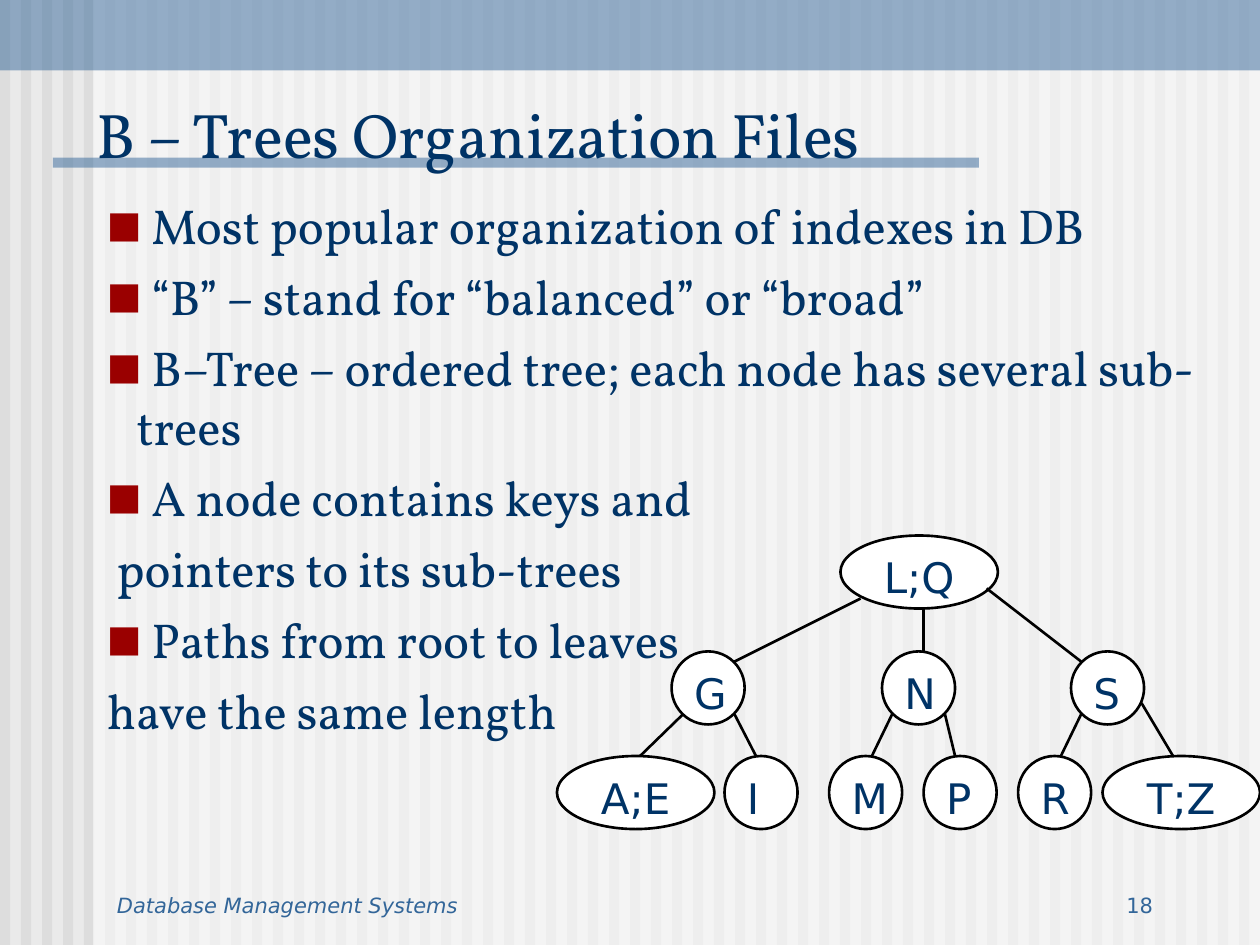
from lxml.etree import SubElement
from pptx import Presentation
from pptx.dml.color import RGBColor
from pptx.enum.shapes import MSO_CONNECTOR, MSO_SHAPE
from pptx.enum.text import MSO_ANCHOR, PP_ALIGN
from pptx.oxml.ns import qn
from pptx.util import Inches, Pt

NAVY = RGBColor(0x00, 0x33, 0x66)
BLUE = RGBColor(0x33, 0x66, 0x99)
RED = RGBColor(0x9A, 0x00, 0x00)
STRIPE = RGBColor(0xDD, 0xDD, 0xDD)
BACKGROUND = RGBColor(0xEA, 0xEA, 0xEA)
WHITE = RGBColor(0xFF, 0xFF, 0xFF)
BLACK = RGBColor(0x00, 0x00, 0x00)

SERIF = "Vollkorn"
SANS = "DejaVu Sans"
TITLE = {"name": SERIF, "size": Pt(36)}
BODY = {"name": SERIF, "size": Pt(28)}
LABEL = {"name": SANS, "size": Pt(24)}
FOOTER = {"name": SANS, "size": Pt(12)}

BULLET_INDENT = 0.235
NODE_HEIGHT = 0.58
WIDE_NODE = 1.25
STRIPE_COUNT = 60

POINTS = [
    (" Most popular organization of indexes in DB", True),
    (" “B” – stand for “balanced” or “broad”", True),
    (" B–Tree – ordered tree; each node has several sub-trees", True),
    (" A node contains keys and", True),
    (" pointers to its sub-trees", False),
    (" Paths from root to leaves", True),
    ("have the same length", False),
]

TREE_LEVELS = [
    (4.25, [("L;Q", 6.67)]),
    (5.17, [("G", 5.33), ("N", 7), ("S", 8.5)]),
    (6, [("I", 5.75), ("A;E", 4.42), ("M", 6.58), ("P", 7.33),
         ("R", 8.08), ("T;Z", 8.75)]),
]

BRANCHES = [
    ((5.83, 5.25), (6.83, 4.75)),
    ((7.33, 4.83), (7.33, 5.17)),
    ((7.83, 4.67), (8.58, 5.25)),
    ((5.42, 5.67), (5.08, 6)),
    ((5.83, 5.67), (6, 6)),
    ((7.08, 5.67), (6.92, 6)),
    ((7.5, 5.67), (7.58, 6)),
    ((8.42, 6), (8.58, 5.67)),
    ((9.06, 5.58), (9.31, 6)),
]


class SlideBuilder:
    line_width = Pt(1.5)
    paragraph_gap = Pt(7)

    def __init__(self, slide):
        self.slide = slide
        slide.background.fill.solid()
        slide.background.fill.fore_color.rgb = BACKGROUND

    def shape(self, kind, left, top, width, height, color):
        shape = self.slide.shapes.add_shape(
            kind, Inches(left), Inches(top), Inches(width), Inches(height))
        shape.shadow.inherit = False
        shape.fill.solid()
        shape.fill.fore_color.rgb = color
        return shape

    def band(self, left, top, width, height, color, opacity=100):
        shape = self.shape(MSO_SHAPE.RECTANGLE, left, top, width, height, color)
        shape.line.fill.background()
        if opacity < 100:
            color_element = shape._element.spPr.find(
                f"{qn('a:solidFill')}/{qn('a:srgbClr')}")
            SubElement(color_element, qn("a:alpha"), val=str(opacity * 1000))

    def text(self, left, top, width, height, lines, style, color=NAVY,
             align=PP_ALIGN.LEFT, anchor=MSO_ANCHOR.TOP):
        box = self.slide.shapes.add_textbox(
            Inches(left), Inches(top), Inches(width), Inches(height))
        frame = box.text_frame
        frame.word_wrap = True
        frame.vertical_anchor = anchor
        for index, (content, bulleted) in enumerate(lines):
            paragraph = frame.paragraphs[0] if index == 0 else frame.add_paragraph()
            if bulleted:
                self.bullet(paragraph)
            paragraph.alignment = align
            if index:
                paragraph.space_before = self.paragraph_gap
            run = paragraph.add_run()
            run.text = content
            for name, value in style.items():
                setattr(run.font, name, value)
            run.font.color.rgb = color

    def bullet(self, paragraph):
        properties = paragraph._p.get_or_add_pPr()
        properties.set("marL", str(Inches(BULLET_INDENT)))
        properties.set("indent", str(-Inches(BULLET_INDENT)))
        bullet_color = SubElement(properties, qn("a:buClr"))
        SubElement(bullet_color, qn("a:srgbClr"), val=str(RED))
        SubElement(properties, qn("a:buSzPct"), val="75000")
        SubElement(properties, qn("a:buFont"), typeface=SANS)
        SubElement(properties, qn("a:buChar"), char="■")

    def node(self, label, left, top):
        wide = len(label) > 1
        width = WIDE_NODE if wide else NODE_HEIGHT
        inset = 0.18 if wide else 0.08
        shape = self.shape(MSO_SHAPE.OVAL, left, top, width, NODE_HEIGHT, WHITE)
        shape.line.color.rgb = BLACK
        shape.line.width = self.line_width
        self.text(left + inset, top + 0.08, width - 2 * inset, 0.5,
                  [(label, False)], LABEL,
                  align=PP_ALIGN.CENTER if wide else PP_ALIGN.LEFT)

    def branch(self, start, end):
        connector = self.slide.shapes.add_connector(
            MSO_CONNECTOR.STRAIGHT, *map(Inches, start + end))
        connector.line.color.rgb = BLACK
        connector.line.width = self.line_width
        SubElement(connector._element.spPr, qn("a:effectLst"))


def main():
    presentation = Presentation()
    presentation.slide_width = Inches(10)
    presentation.slide_height = Inches(7.5)
    builder = SlideBuilder(
        presentation.slides.add_slide(presentation.slide_layouts[6]))

    for index in range(STRIPE_COUNT):
        builder.band(index / 6, 0, 0.08, 7.5, STRIPE)
    builder.band(0.74, 0, 9.26, 7.5, WHITE, opacity=50)
    builder.band(0, 0, 10, 0.56, BLUE, opacity=50)
    builder.band(0.42, 1.25, 7.35, 0.08, BLUE, opacity=50)

    builder.text(0.83, 6.83, 5.75, 0.5, [("Database Management Systems", False)],
                 {**FOOTER, "italic": True}, BLUE, anchor=MSO_ANCHOR.BOTTOM)
    builder.text(7.17, 6.83, 2.08, 0.5, [("18", False)], FOOTER, BLUE,
                 PP_ALIGN.RIGHT, MSO_ANCHOR.BOTTOM)
    builder.text(0.67, 0.58, 8.4, 0.83, [("B – Trees Organization Files", False)],
                 TITLE, anchor=MSO_ANCHOR.BOTTOM)
    builder.text(0.75, 1.5, 9.25, 5.17, POINTS, BODY)

    for top, nodes in TREE_LEVELS:
        for label, left in nodes:
            builder.node(label, left, top)
    for start, end in BRANCHES:
        builder.branch(start, end)

    presentation.save("out.pptx")


if __name__ == "__main__":
    main()
